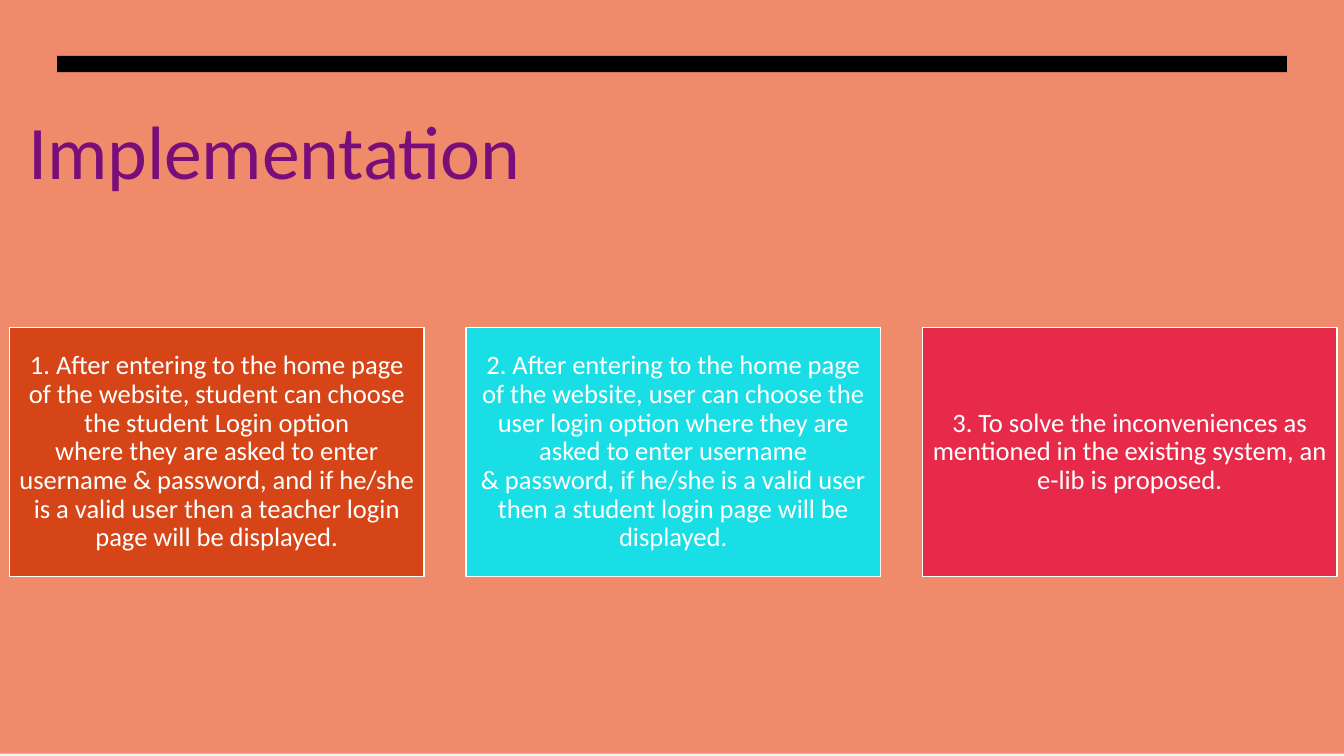
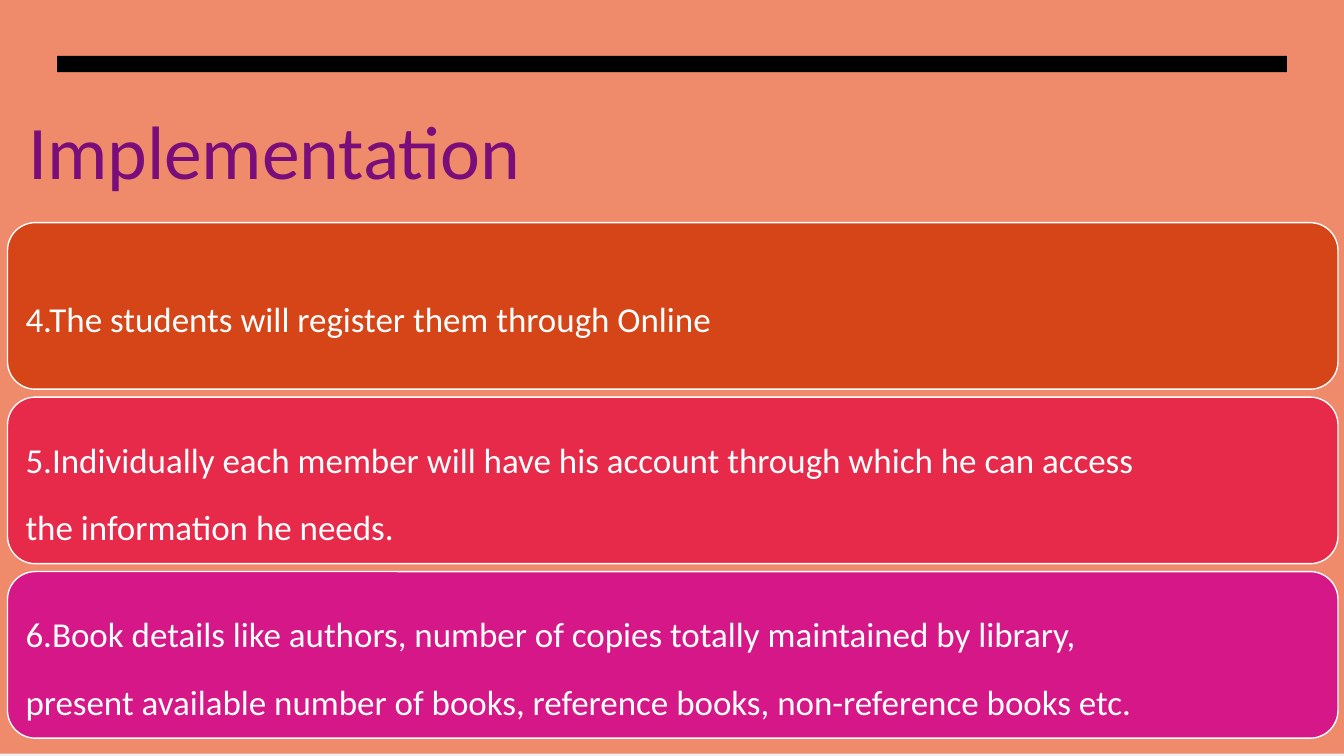
import pptx
import pptx.util
import pptx.dml.color
import pptx.enum.shapes
import pptx.enum.text

Cm = pptx.util.Cm
Pt = pptx.util.Pt
RGBColor = pptx.dml.color.RGBColor
MSO_SHAPE = pptx.enum.shapes.MSO_SHAPE
PP_ALIGN = pptx.enum.text.PP_ALIGN
MSO_ANCHOR = pptx.enum.text.MSO_ANCHOR

PALE = RGBColor(0xF0, 0xF1, 0xF3)
SALMON = RGBColor(0xEF, 0x8B, 0x6B)
BLACK = RGBColor(0x00, 0x00, 0x00)
WHITE = RGBColor(0xFF, 0xFF, 0xFF)
PURPLE = RGBColor(0x79, 0x0E, 0x7A)
ORANGE = RGBColor(0xD5, 0x45, 0x17)
CYAN = RGBColor(0x19, 0xDE, 0xE5)
RED = RGBColor(0xE7, 0x29, 0x4A)
MAGENTA = RGBColor(0xD5, 0x17, 0x87)
FONT = "Calibri"

COLUMNS = [
    (ORANGE, ["1. After entering to the home page of the website, student can choose "
              "the student Login option",
              "where they are asked to enter username & password, "
              "and if he/she is a valid user then a teacher login",
              "page will be displayed."]),
    (CYAN, ["2. After entering to the home page of the website, user can choose the "
            "user login option where they are asked to enter username",
            "& password, if he/she is a valid user then a student login page will be",
            "displayed."]),
    (RED, ["3. To solve the inconveniences as mentioned in the existing system, "
           "an e-lib is proposed."]),
]
ROWS = [
    (ORANGE, ["4.The students will register them through Online"]),
    (RED, ["5.Individually each member will have his account through which he can access",
           "the information he needs."]),
    (MAGENTA, ["6.Book details like authors, number of copies totally maintained by library,",
               "present available number of books, reference books, "
               "non-reference books etc."]),
]


def add_run(p, text, size, color):
    r = p.add_run()
    r.text = text
    r.font.name = FONT
    r.font.size = Pt(size)
    r.font.color.rgb = color


def set_frame(tf, inset):
    tf.word_wrap = True
    tf.margin_left = tf.margin_right = tf.margin_top = tf.margin_bottom = Cm(inset)


def add_box(s, kind, box, fill, line=None):
    sp = s.shapes.add_shape(kind, *(Cm(v) for v in box))
    sp.shadow.inherit = False
    sp.fill.solid()
    sp.fill.fore_color.rgb = fill
    if line is None:
        sp.line.fill.background()
    else:
        sp.line.color.rgb = line
        sp.line.width = Pt(1)
    return sp


def add_card(s, kind, box, fill, lines, size, inset, align, spacing):
    sp = add_box(s, kind, box, fill, WHITE)
    tf = sp.text_frame
    set_frame(tf, inset)
    tf.vertical_anchor = MSO_ANCHOR.MIDDLE
    p = tf.paragraphs[0]
    p.alignment = align
    p.line_spacing = spacing
    for i, text in enumerate(lines):
        if i:
            p.add_line_break()
        add_run(p, text, size, WHITE)


def add_titled_slide(prs, title):
    s = prs.slides.add_slide(prs.slide_layouts[6])
    s.background.fill.solid()
    s.background.fill.fore_color.rgb = PALE
    add_box(s, MSO_SHAPE.RECTANGLE, (0, -0.03, 33.87, 19.02), SALMON)
    add_box(s, MSO_SHAPE.RECTANGLE, (1.44, 1.41, 30.99, 0.41), BLACK)
    tb = s.shapes.add_textbox(Cm(0.71), Cm(2.62), Cm(31.75), Cm(2.4))
    set_frame(tb.text_frame, 0)
    add_run(tb.text_frame.paragraphs[0], title, 54, PURPLE)
    return s


def add_columns(s, box, items, gap):
    left, top, width, height = box
    w = (width - gap * (len(items) - 1)) / len(items)
    for i, (fill, lines) in enumerate(items):
        add_card(s, MSO_SHAPE.RECTANGLE, (left + i * (w + gap), top, w, height),
                 fill, lines, 19, 0.2, PP_ALIGN.CENTER, 0.9)


def add_rows(s, box, items, gap):
    left, top, width, height = box
    h = (height - gap * (len(items) - 1)) / len(items)
    for i, (fill, lines) in enumerate(items):
        add_card(s, MSO_SHAPE.ROUNDED_RECTANGLE, (left, top + i * (h + gap), width, h),
                 fill, lines, 25, 0.25, PP_ALIGN.LEFT, 1.6)


def main():
    prs = pptx.Presentation()
    prs.slide_width = Cm(33.87)
    prs.slide_height = Cm(19.05)
    s = add_titled_slide(prs, "Implementation")
    add_columns(s, (0.24, 8.26, 33.45, 6.27), COLUMNS, 1.06)
    s = add_titled_slide(prs, "Implementation")
    add_rows(s, (0.19, 5.61, 33.53, 12.99), ROWS, 0.2)
    prs.save("out.pptx")


if __name__ == "__main__":
    main()
